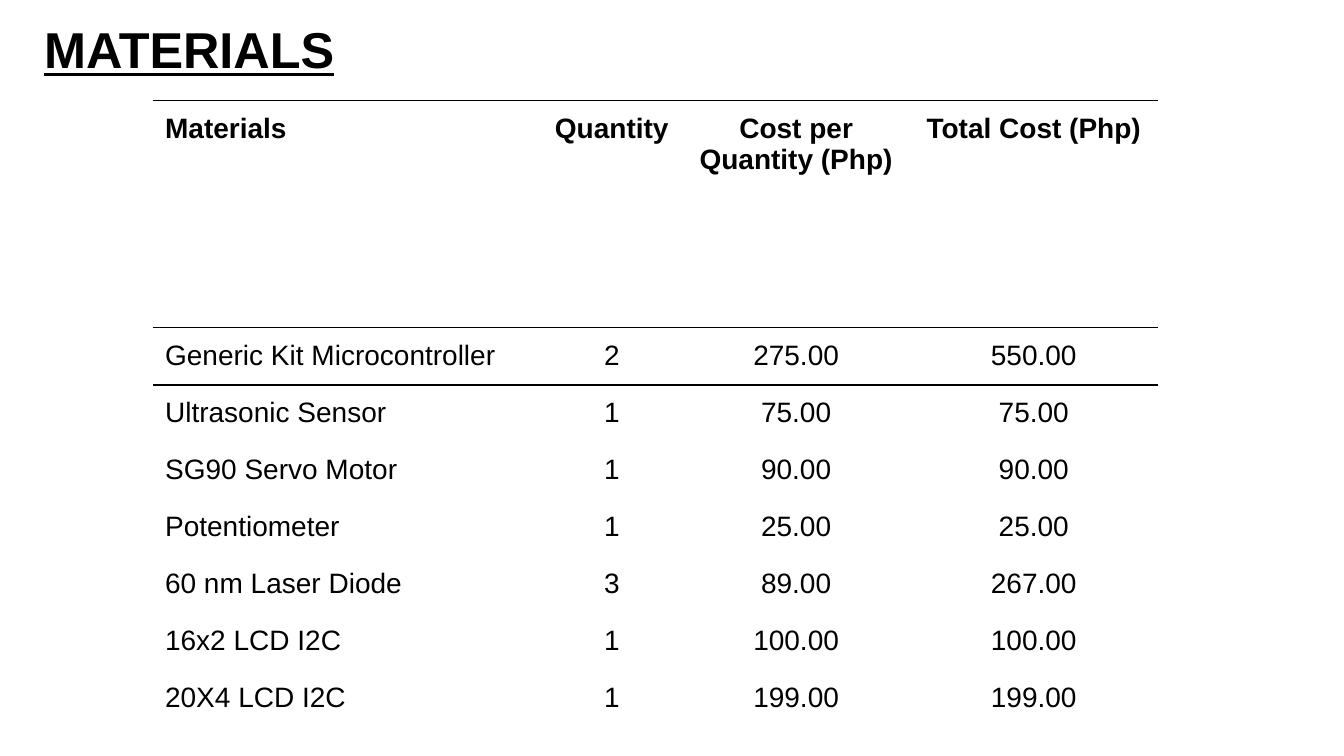
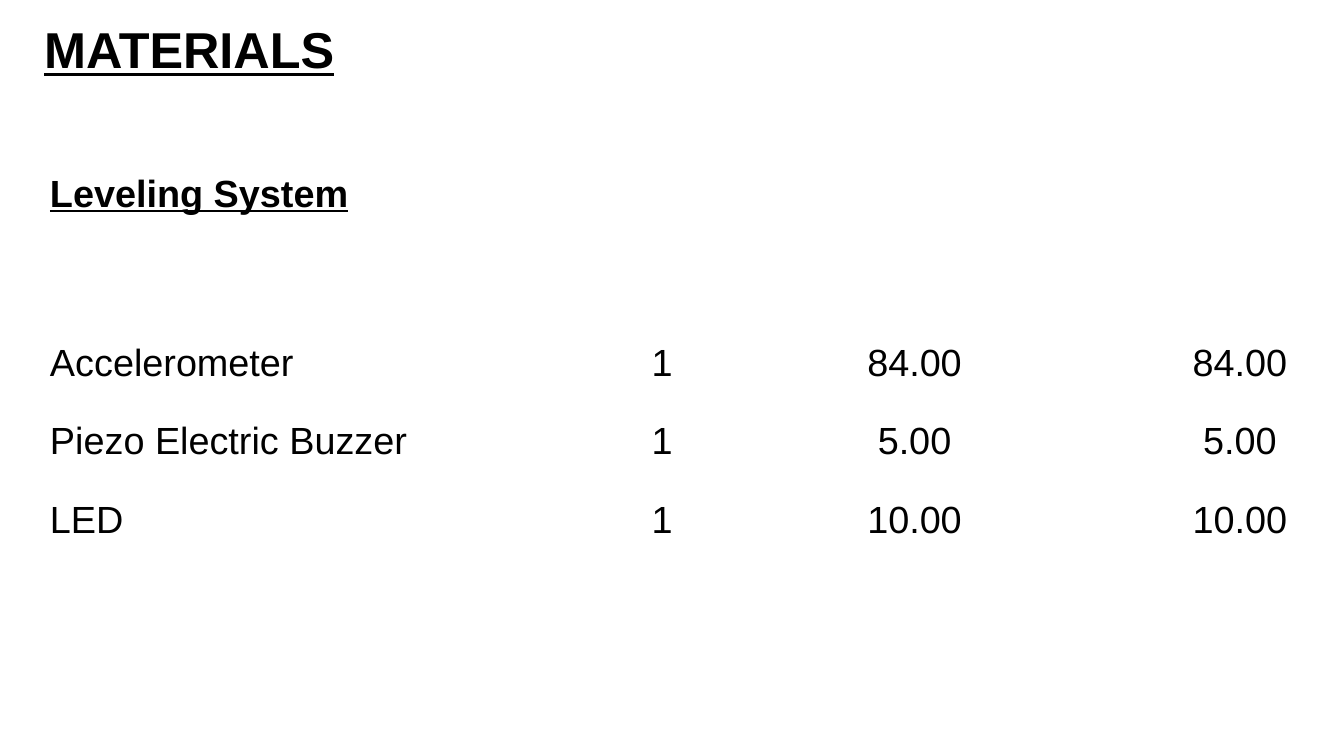
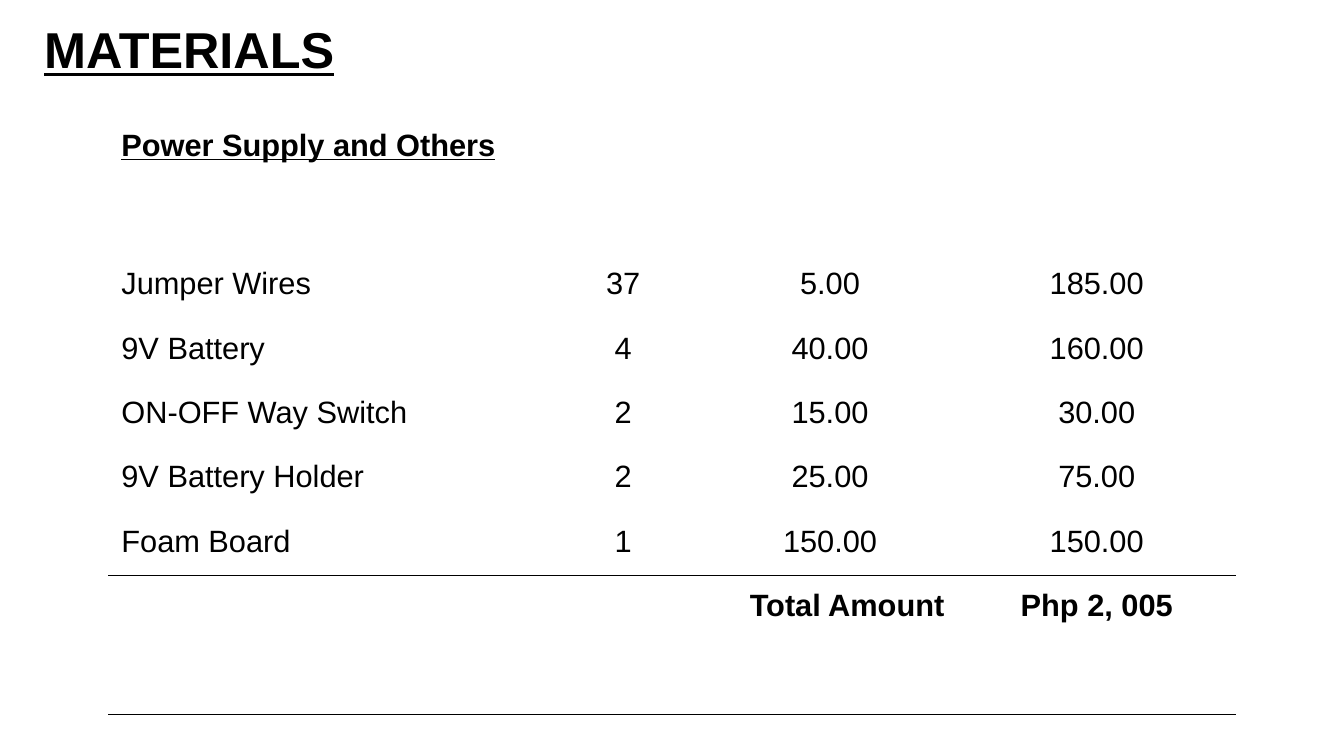
"""Build the three slides that list the materials and their costs."""
from dataclasses import dataclass

from lxml import etree
from pptx import Presentation
from pptx.dml.color import RGBColor
from pptx.enum.text import MSO_ANCHOR, MSO_AUTO_SIZE, PP_ALIGN
from pptx.oxml.ns import qn
from pptx.util import Cm, Pt

LEFT, CENTER, RIGHT = PP_ALIGN.LEFT, PP_ALIGN.CENTER, PP_ALIGN.RIGHT
TOP, MIDDLE = MSO_ANCHOR.TOP, MSO_ANCHOR.MIDDLE
NO_AUTOFIT = MSO_AUTO_SIZE.NONE
TITLE_ONLY = 5
PLAIN_TABLE = "{2D5ABB26-0587-4C30-8999-92F81FD0307C}"
COLUMN_SHARES = (0.386, 0.141, 0.226, 0.247)


@dataclass(frozen=True)
class Theme:
    """Colours, font and type sizes of the deck."""
    font: str = "Arial"
    ink: str = "000000"
    paper: str = "FFFFFF"
    title_size: int = 36
    components_size: int = 20
    leveling_size: int = 27
    power_size: int = 22


@dataclass(frozen=True)
class Box:
    """A region in centimetres."""
    left: float
    top: float
    width: float
    height: float = 0


@dataclass(frozen=True)
class CostTable:
    """Content and measures of one cost table."""
    box: Box
    size: int
    inset: float
    head_height: float
    row_height: float
    heading: tuple
    items: tuple
    rules: dict
    total: tuple = ()
    underline: bool = False


THEME = Theme()
TITLE_BOX = Box(0.86, 0.33, 25.32, 1.8)

COMPONENTS = CostTable(
    box=Box(3.86, 2.54, 25.32), size=THEME.components_size, inset=0.3,
    head_height=5.72, row_height=1.44,
    heading=("Materials", "Quantity", "Cost per Quantity (Php)", "Total Cost (Php)"),
    items=(
        ("Generic Kit Microcontroller", "2", "275.00", "550.00"),
        ("Ultrasonic Sensor", "1", "75.00", "75.00"),
        ("SG90 Servo Motor", "1", "90.00", "90.00"),
        ("Potentiometer", "1", "25.00", "25.00"),
        ("60 nm Laser Diode", "3", "89.00", "267.00"),
        ("16x2 LCD I2C", "1", "100.00", "100.00"),
        ("20X4 LCD I2C", "1", "199.00", "199.00"),
    ),
    rules={0: 1, 1: 1},
)
LEVELING = CostTable(
    box=Box(0.86, 3.96, 34.67), size=THEME.leveling_size, inset=0.4,
    head_height=4.27, row_height=1.97,
    heading=("Leveling System", "", "", ""), underline=True,
    items=(
        ("Accelerometer", "1", "84.00", "84.00"),
        ("Piezo Electric Buzzer", "1", "5.00", "5.00"),
        ("LED", "1", "10.00", "10.00"),
    ),
    rules={},
)
POWER = CostTable(
    box=Box(2.73, 2.9, 28.42), size=THEME.power_size, inset=0.33,
    head_height=3.5, row_height=1.62,
    heading=("Power Supply and Others", "", "", ""), underline=True,
    items=(
        ("Jumper Wires", "37", "5.00", "185.00"),
        ("9V Battery", "4", "40.00", "160.00"),
        ("ON-OFF Way Switch", "2", "15.00", "30.00"),
        ("9V Battery Holder", "2", "25.00", "75.00"),
        ("Foam Board", "1", "150.00", "150.00"),
    ),
    total=("", "", "Total Amount", "Php 2, 005"),
    rules={6: 1.5, 7: 1},
)


def add_span(para, text, size, bold=False, underline=False):
    """Add one run in the deck's font to a paragraph."""
    span = para.add_run()
    span.text = text
    font = span.font
    font.name, font.size = THEME.font, Pt(size)
    font.bold, font.underline = bold, underline
    font.color.rgb = RGBColor.from_string(THEME.ink)


def add_title(page, text, box):
    """Move the title placeholder into its box and fill it."""
    title = page.shapes.title
    title.left, title.top = Cm(box.left), Cm(box.top)
    title.width, title.height = Cm(box.width), Cm(box.height)
    frame = title.text_frame
    frame.auto_size, frame.vertical_anchor = NO_AUTOFIT, MIDDLE
    para = frame.paragraphs[0]
    para.alignment = LEFT
    add_span(para, text, THEME.title_size, bold=True, underline=True)


def add_rule(cell, side, width):
    """Draw the top (lnT) or bottom (lnB) border of a cell."""
    line = etree.SubElement(cell._tc.get_or_add_tcPr(), qn(f"a:{side}"), w=str(Pt(width)))
    fill = etree.SubElement(line, qn("a:solidFill"))
    etree.SubElement(fill, qn("a:srgbClr"), val=THEME.ink)


def fill_cell(cell, text, content, row, column):
    """Format one cell by its place in the table."""
    for side, edge in (("lnT", row), ("lnB", row + 1)):
        if edge in content.rules:
            add_rule(cell, side, content.rules[edge])
    cell.fill.background()
    cell.vertical_anchor = TOP
    inset = Cm(content.inset)
    cell.margin_left = cell.margin_right = inset
    cell.margin_top = cell.margin_bottom = inset
    if not text:
        return
    is_heading, is_total = row == 0, row > len(content.items)
    para = cell.text_frame.paragraphs[0]
    if column == 0:
        para.alignment = LEFT
    else:
        para.alignment = RIGHT if is_total and column == 2 else CENTER
    add_span(para, text, content.size, is_heading or is_total,
             is_heading and content.underline)


def add_cost_table(page, content):
    """Place a cost table whose columns share the width of its box."""
    rows = [content.heading, *content.items]
    heights = [content.head_height] + [content.row_height] * len(content.items)
    if content.total:
        rows.append(content.total)
        heights.append(content.head_height)
    box = content.box
    frame = page.shapes.add_table(len(rows), len(COLUMN_SHARES), Cm(box.left),
                                  Cm(box.top), Cm(box.width), Cm(sum(heights)))
    for style in frame._element.iter(qn("a:tableStyleId")):
        style.text = PLAIN_TABLE
    table = frame.table
    table.first_row = table.horz_banding = False
    for column, share in zip(table.columns, COLUMN_SHARES):
        column.width = Cm(box.width * share)
    for row, (texts, height) in enumerate(zip(rows, heights)):
        table.rows[row].height = Cm(height)
        for column, text in enumerate(texts):
            fill_cell(table.cell(row, column), text, content, row, column)


def add_materials_page(deck, content):
    """Add one slide with the shared title and a cost table."""
    page = deck.slides.add_slide(deck.slide_layouts[TITLE_ONLY])
    add_title(page, "MATERIALS", TITLE_BOX)
    add_cost_table(page, content)


def main():
    """Build and save the deck."""
    deck = Presentation()
    deck.slide_width, deck.slide_height = Cm(33.87), Cm(19.05)
    background = deck.slide_master.background.fill
    background.solid()
    background.fore_color.rgb = RGBColor.from_string(THEME.paper)
    for content in (COMPONENTS, LEVELING, POWER):
        add_materials_page(deck, content)
    deck.save("out.pptx")


if __name__ == "__main__":
    main()
